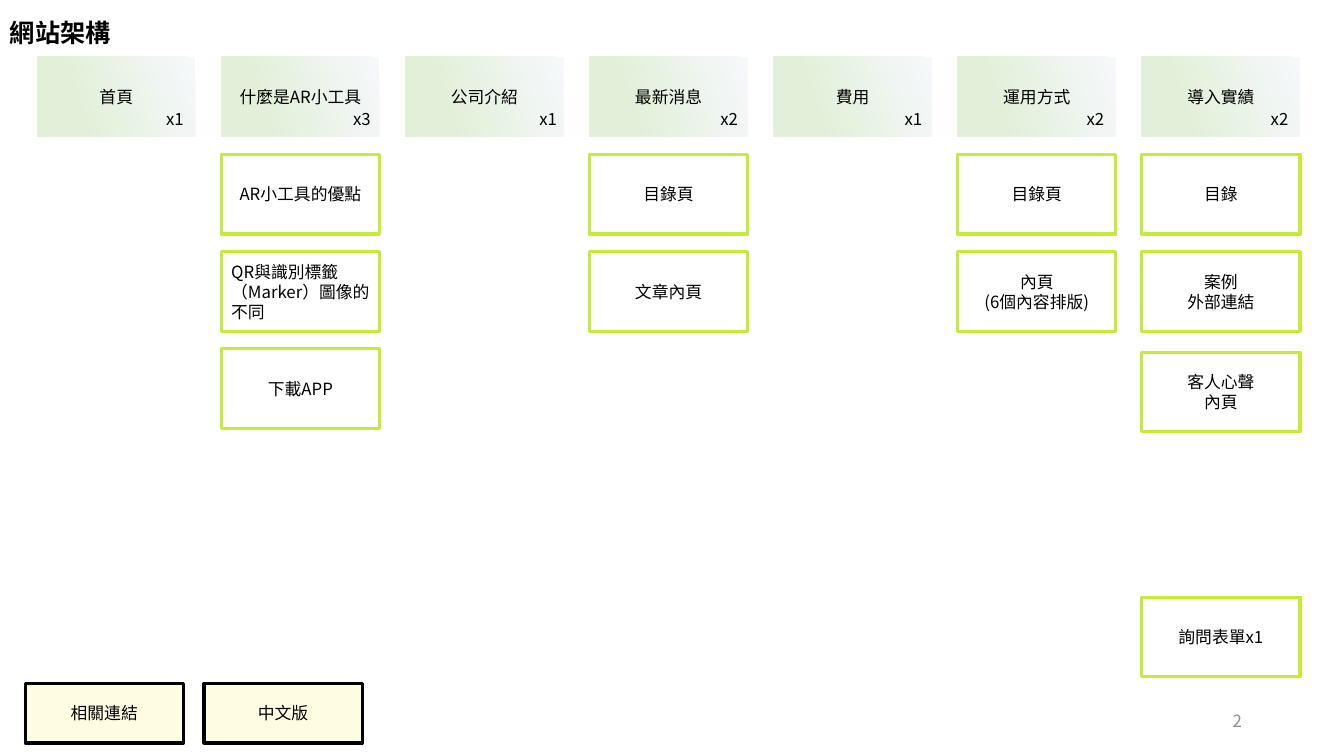
from lxml.etree import SubElement
from pptx import Presentation
from pptx.dml.color import RGBColor
from pptx.enum.shapes import MSO_SHAPE
from pptx.enum.text import MSO_ANCHOR, PP_ALIGN
from pptx.oxml.ns import qn
from pptx.util import Pt

FONT = "Noto Sans CJK SC"
COLORS = {
    "text": "000000",
    "number": "8C8C8C",
    "page_fill": "FFFFFF",
    "page_line": "C4EB35",
    "link_fill": "FEFDE2",
    "link_line": "000000",
    "header_light": "F6F8FC",
    "header_green": "E2F0D9",
}
BOX_W, BOX_H = 113, 57
COLUMN_PITCH, ROW_PITCH = 131.5, 69.5
FIRST_PAGE_DROP = 69.7  # from header top to first page top

# Section name, page count, left offset of the count, pages below
SECTIONS = [
    ("首頁", "x1", 85, []),
    ("什麼是AR小工具", "x3", 87, ["AR小工具的優點", "QR與識別標籤（Marker）圖像的不同", "下載APP"]),
    ("公司介紹", "x1", 88.5, []),
    ("最新消息", "x2", 86.4, ["目錄頁", "文章內頁"]),
    ("費用", "x1", 86.4, []),
    ("運用方式", "x2", 85, ["目錄頁", "內頁\n(6個內容排版)"]),
    ("導入實績", "x2", 85, ["目錄", "案例\n外部連結"]),
]
LEFT_ALIGNED = {"QR與識別標籤（Marker）圖像的不同"}


def rgb(name):
    return RGBColor.from_string(COLORS[name])


def write(frame, text, align=PP_ALIGN.LEFT, anchor=MSO_ANCHOR.MIDDLE,
          size=12, color="text", bold=False):
    frame.word_wrap = True
    frame.vertical_anchor = anchor
    for index, line in enumerate(text.split("\n")):
        paragraph = frame.paragraphs[0] if index == 0 else frame.add_paragraph()
        paragraph.alignment = align
        run = paragraph.add_run()
        run.text = line
        run.font.size = Pt(size)
        run.font.bold = bold
        run.font.color.rgb = rgb(color)
        run.font.name = FONT
        east_asian = SubElement(run.font._element, qn("a:ea"))
        east_asian.set("typeface", FONT)


def add_label(slide, left, top, width, height, text, **style):
    label = slide.shapes.add_textbox(Pt(left), Pt(top), Pt(width), Pt(height))
    write(label.text_frame, text, **style)


def add_box(slide, left, top, height, text):
    box = slide.shapes.add_shape(
        MSO_SHAPE.RECTANGLE, Pt(left), Pt(top), Pt(BOX_W), Pt(height))
    box.shadow.inherit = False
    align = PP_ALIGN.LEFT if text in LEFT_ALIGNED else PP_ALIGN.CENTER
    write(box.text_frame, text, align)
    return box


def add_framed_box(slide, left, top, height, text, kind):
    box = add_box(slide, left, top, height, text)
    box.fill.solid()
    box.fill.fore_color.rgb = rgb(kind + "_fill")
    box.line.color.rgb = rgb(kind + "_line")
    box.line.width = Pt(2.25)


def add_header(slide, left, top, name, count, count_offset):
    header = add_box(slide, left, top, BOX_H, name)
    header.line.fill.background()
    header.fill.gradient()
    header.fill.gradient_angle = 200
    light, green = header.fill.gradient_stops
    light.position, green.position = 0, 0.74
    light.color.rgb = rgb("header_light")
    green.color.rgb = rgb("header_green")
    add_label(slide, left + count_offset, top + 33.9, 46, 21.6, count,
              anchor=MSO_ANCHOR.TOP)


def add_section(slide, left, top, name, count, count_offset, pages):
    add_header(slide, left, top, name, count, count_offset)
    for row, page in enumerate(pages):
        page_top = top + FIRST_PAGE_DROP + row * ROW_PITCH
        add_framed_box(slide, left, page_top, BOX_H, page, "page")


def add_site_map(slide, left, top):
    for column, section in enumerate(SECTIONS):
        add_section(slide, left + column * COLUMN_PITCH, top, *section)
    # Extra pages set apart in the last column
    last_left = left + (len(SECTIONS) - 1) * COLUMN_PITCH
    for drop, page in [(211, "客人心聲\n內頁"), (386, "詢問表單x1")]:
        add_framed_box(slide, last_left, top + drop, BOX_H, page, "page")


def add_footer(slide, left, top):
    for index, link in enumerate(["相關連結", "中文版"]):
        add_framed_box(slide, left + index * 127.7, top, 42.5, link, "link")
    add_label(slide, left + 660.2, top + 12.2, 216, 28.8, "2",
              align=PP_ALIGN.RIGHT, color="number")


def main():
    deck = Presentation()
    deck.slide_width, deck.slide_height = Pt(960), Pt(540)
    slide = deck.slides.add_slide(deck.slide_layouts[6])
    # Title
    add_label(slide, 0, -3, 848, 52, "網站架構", size=18, bold=True)
    # Sections with their pages
    add_site_map(slide, 26.6, 40.5)
    # Site-wide links and page number
    add_footer(slide, 18, 488.2)
    deck.save("out.pptx")


if __name__ == "__main__":
    main()
